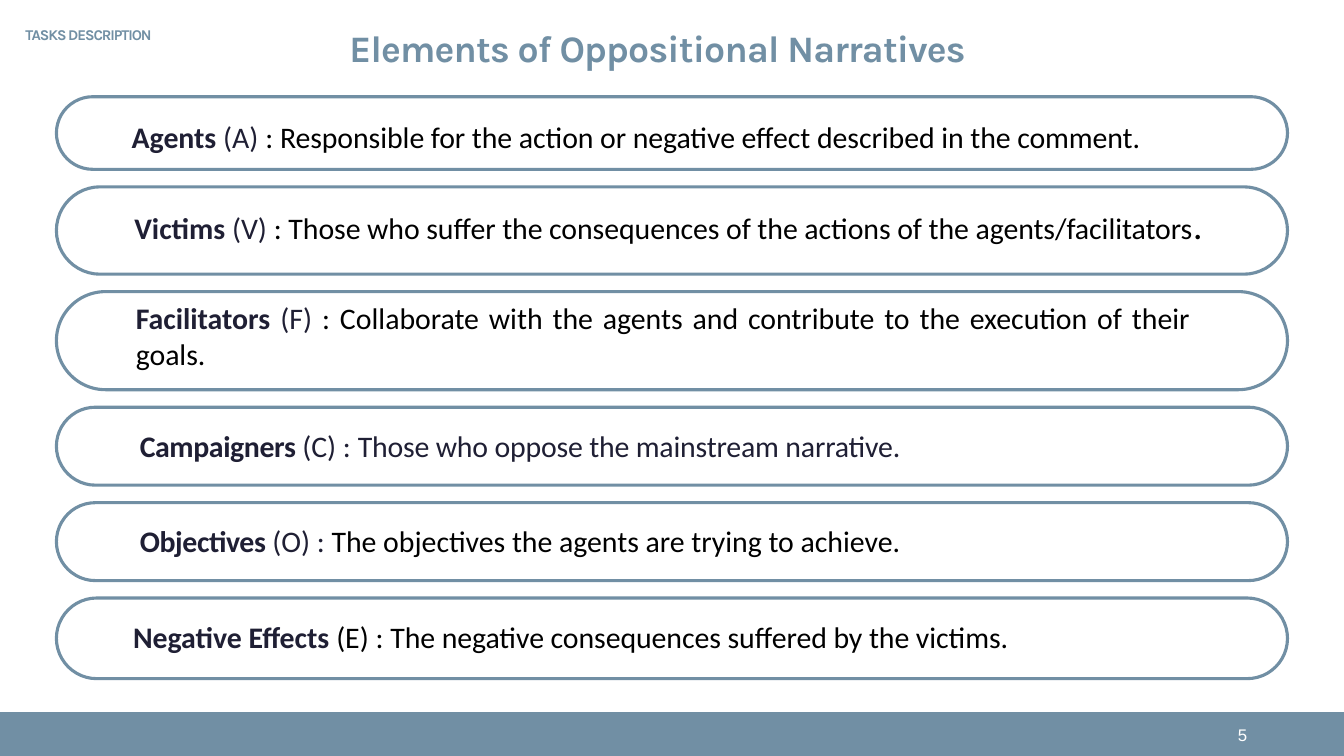
from dataclasses import dataclass

from lxml import etree
from pptx import Presentation
from pptx import util as u
from pptx.dml.color import RGBColor
from pptx.enum import shapes, text
from pptx.oxml.ns import qn

SLATE, NAVY, BLACK, WHITE = "718FA4", "1F1F34", "000000", "FFFFFF"
SLIDE_WIDTH = 10
SLIDE_HEIGHT = SLIDE_WIDTH * 9 / 16
FOOTER_TOP = 5.3
PILL_LEFT, PILL_WIDTH, PILL_TOP, PILL_GAP = 0.42, 9.16, 0.72, 0.13


@dataclass
class Element:
    term: str
    code: str
    meaning: str
    pill_height: float
    indent: float
    space_before: float
    code_color: str = NAVY
    colon_color: str = BLACK
    meaning_color: str = BLACK
    end_mark: str = ""
    term_spacing: float = 0
    meaning_spacing: float = 0
    right_margin: float = 0
    align: text.PP_ALIGN = text.PP_ALIGN.LEFT


ELEMENTS = [
    Element("Agents", "(A)", "Responsible for the action or negative effect described in the comment.",
            0.54, 0.01, 0, meaning_spacing=-0.03),
    Element("Victims", "(V)",
            "Those who suffer the consequences of the actions of the agents/facilitators",
            0.65, 0.03, 25.7, end_mark=".", meaning_spacing=-0.04),
    Element("Facilitators", "(F)",
            "Collaborate with the agents and contribute to the execution of their goals.",
            0.73, 0.04, 28.5, right_margin=0.14, align=text.PP_ALIGN.JUSTIFY),
    Element("Campaigners", "(C)", "Those who oppose the mainstream narrative.",
            0.58, 0.07, 30.2, colon_color=NAVY, meaning_color=NAVY,
            term_spacing=-0.2, meaning_spacing=-0.08),
    Element("Objectives", "(O)", "The objectives the agents are trying to achieve.",
            0.58, 0.07, 31.7, colon_color=NAVY, term_spacing=-0.2),
    Element("Negative Effects", "(E)", "The negative consequences suffered by the victims.",
            0.6, 0.02, 32.2, code_color=BLACK, meaning_spacing=-0.03),
]


def rgb(color: str) -> RGBColor:
    return RGBColor.from_string(color)


def place(shape, left: float, top: float, width: float, height: float) -> None:
    box = {"left": left, "top": top, "width": width, "height": height}
    for side, inches in box.items():
        setattr(shape, side, u.Inches(inches))


def format_frame(frame) -> None:
    values = {"margin_left": 0, "margin_right": 0, "margin_top": u.Inches(0.01),
              "margin_bottom": 0, "word_wrap": True,
              "auto_size": text.MSO_AUTO_SIZE.NONE,
              "vertical_anchor": text.MSO_ANCHOR.TOP}
    for name, value in values.items():
        setattr(frame, name, value)


def format_paragraph(paragraph, indent: float, space_before: float = 0,
                     right_margin: float = 0, align=text.PP_ALIGN.LEFT) -> None:
    properties = paragraph._p.get_or_add_pPr()
    properties.set("marL", str(u.Inches(indent)))
    properties.set("marR", str(u.Inches(right_margin)))
    properties.set("indent", "0")
    etree.SubElement(properties, qn("a:buNone"))
    paragraph.space_before = u.Pt(space_before)
    paragraph.alignment = align


def add_run(paragraph, words: str, font: str, size: float, color: str,
            bold: bool = False, spacing: float = 0) -> None:
    run = paragraph.add_run()
    run.text = words
    values = {"name": font, "size": u.Pt(size), "bold": bold}
    for name, value in values.items():
        setattr(run.font, name, value)
    run.font.color.rgb = rgb(color)
    if spacing:
        run._r.get_or_add_rPr().set("spc", str(round(spacing * 100)))


def write_line(shape, words: str, indent: float, font: str, size: float,
               color: str, bold: bool, spacing: float) -> None:
    """Format the frame and fill it with a single line."""
    format_frame(shape.text_frame)
    paragraph = shape.text_frame.paragraphs[0]
    format_paragraph(paragraph, indent)
    add_run(paragraph, words, font, size, color, bold, spacing)


def add_pill(slide, top: float, height: float) -> None:
    pill = slide.shapes.add_shape(
        shapes.MSO_SHAPE.ROUNDED_RECTANGLE, u.Inches(PILL_LEFT), u.Inches(top),
        u.Inches(PILL_WIDTH), u.Inches(height))
    pill.adjustments[0] = 0.5
    pill.shadow.inherit = False
    pill.fill.background()
    pill.line.color.rgb = rgb(SLATE)
    pill.line.width = u.Pt(1.67)


def write_element(paragraph, element: Element) -> None:
    format_paragraph(paragraph, element.indent, element.space_before,
                     element.right_margin, element.align)
    add_run(paragraph, f"{element.term} ", "Calibri", 16, NAVY, True, element.term_spacing)
    add_run(paragraph, f"{element.code} ", "Calibri", 16, element.code_color)
    add_run(paragraph, ": ", "Calibri", 16, element.colon_color)
    add_run(paragraph, element.meaning, "Calibri", 16, element.meaning_color,
            spacing=element.meaning_spacing)
    if element.end_mark:
        add_run(paragraph, element.end_mark, "Calibri", 20, BLACK)


def main() -> None:
    deck = Presentation()
    deck.slide_width, deck.slide_height = u.Inches(SLIDE_WIDTH), u.Inches(SLIDE_HEIGHT)
    slide = deck.slides.add_slide(deck.slide_layouts[1])
    title, definitions = slide.placeholders

    footer = slide.shapes.add_shape(
        shapes.MSO_SHAPE.RECTANGLE, 0, u.Inches(FOOTER_TOP),
        u.Inches(SLIDE_WIDTH), u.Inches(SLIDE_HEIGHT - FOOTER_TOP))
    footer.shadow.inherit = False
    footer.fill.solid()
    footer.fill.fore_color.rgb = rgb(SLATE)
    footer.line.fill.background()

    place(title, 2.57, 0.18, 4.87, 0.36)
    write_line(title, "Elements of Oppositional Narratives", 0.03,
               "Karla", 20, SLATE, True, -0.44)

    top = PILL_TOP
    for element in ELEMENTS:
        add_pill(slide, top, element.pill_height)
        top += element.pill_height + PILL_GAP

    place(definitions, 0.97, 0.87, 8.03, 4.04)
    frame = definitions.text_frame
    format_frame(frame)
    for index, element in enumerate(ELEMENTS):
        paragraph = frame.add_paragraph() if index else frame.paragraphs[0]
        write_element(paragraph, element)

    page_number = slide.shapes.add_textbox(0, 0, 0, 0)
    place(page_number, 9.17, 5.38, 0.2, 0.17)
    write_line(page_number, "5", 0.04, "Arial", 9, WHITE, False, -0.2)

    section = slide.shapes.add_textbox(0, 0, 0, 0)
    place(section, 0.18, 0.18, 1.07, 0.16)
    write_line(section, "TASKS DESCRIPTION", 0.01, "Karla", 8, SLATE, True, -0.59)

    deck.save("out.pptx")


if __name__ == "__main__":
    main()
